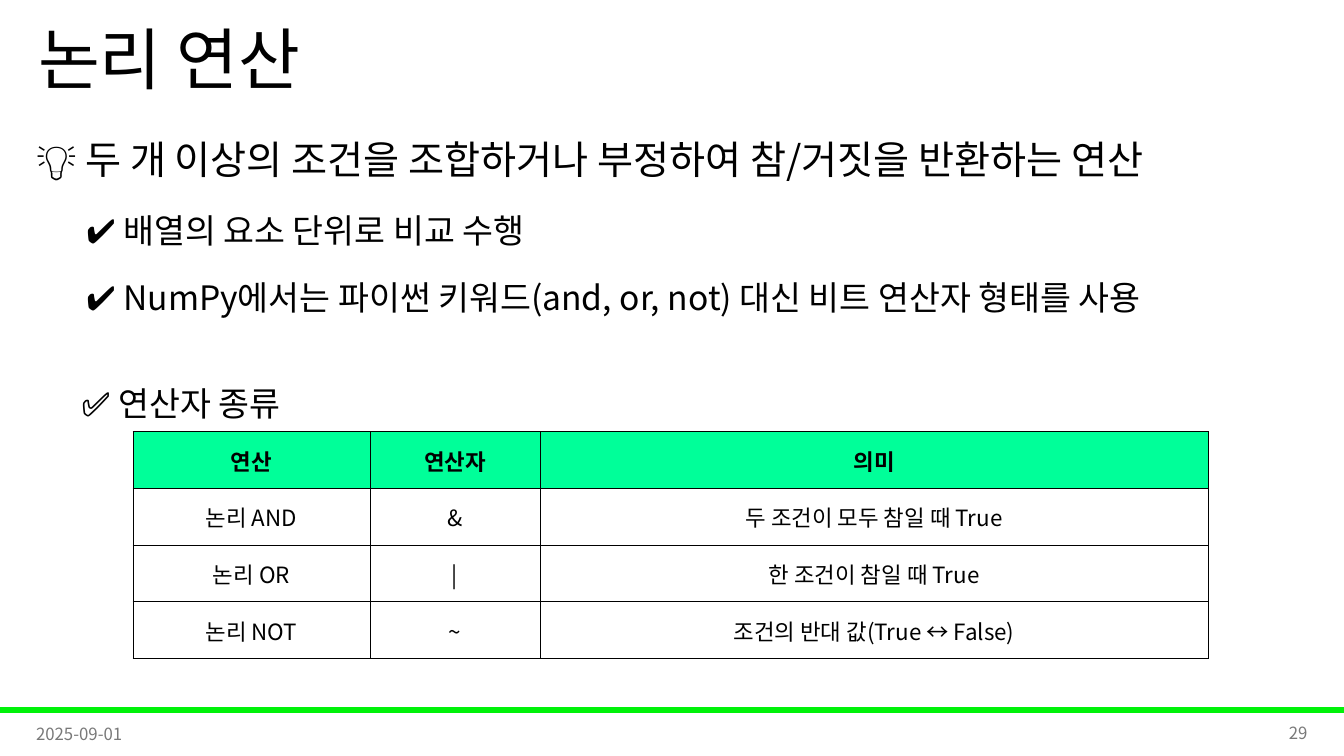
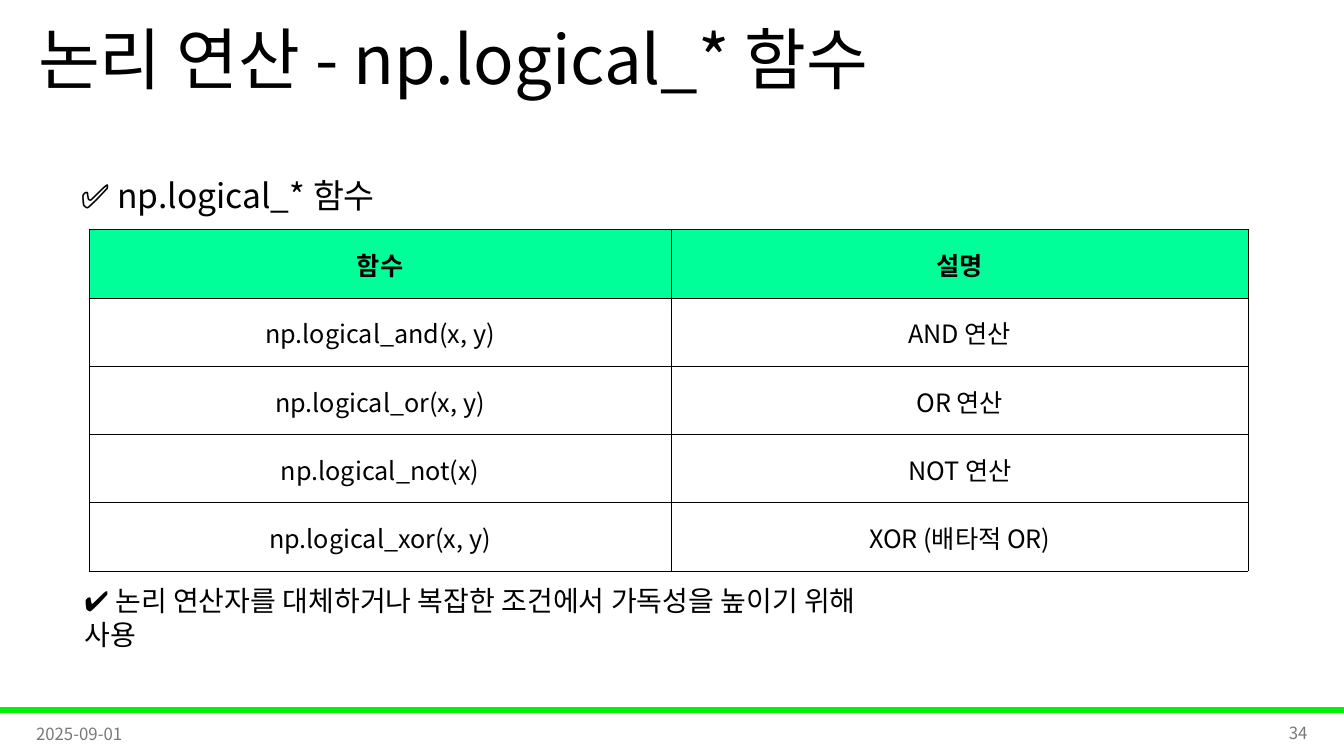
from lxml import etree
from pptx import Presentation
from pptx.dml.color import RGBColor
from pptx.enum.shapes import MSO_SHAPE
from pptx.enum.text import MSO_ANCHOR, PP_ALIGN
from pptx.oxml.ns import qn
from pptx.util import Cm, Pt

RECT = MSO_SHAPE.RECTANGLE
TOP, MIDDLE = MSO_ANCHOR.TOP, MSO_ANCHOR.MIDDLE
LEFT, CENTER, RIGHT = PP_ALIGN.LEFT, PP_ALIGN.CENTER, PP_ALIGN.RIGHT

BLACK = RGBColor(0x00, 0x00, 0x00)
GRAY = RGBColor(0x79, 0x79, 0x79)
GREEN = RGBColor(0x00, 0xF2, 0x09)
MINT = RGBColor(0x00, 0xFF, 0x99)
FONT = "Noto Sans CJK KR"
WIDE, HIGH = Cm(33.87), Cm(19.05)
DATE = "2025-09-01"

# Paragraph formats
TITLE = {"line_spacing": 0.9}
LEAD = {"line_spacing": 1.5, "space_before": Pt(10)}
POINT = {"line_spacing": 1.5, "space_before": Pt(5), "level": 1}
NOTE = {"space_before": Pt(10)}
CELL = {"alignment": CENTER}
INSETS = {"margin_left": Cm(0.03), "margin_right": Cm(0.03),
          "margin_top": Cm(0.03), "margin_bottom": 0,
          "vertical_anchor": MIDDLE}


def apply(item, form):
    for name, value in form.items():
        setattr(item, name, value)


class Deck:
    """Holds the shared style and the current slide."""

    def __init__(self):
        self.file = Presentation()
        apply(self.file, {"slide_width": WIDE, "slide_height": HIGH})
        self.slide = None

    def start(self, title, page):
        """Add a slide with its title, band and footer."""
        self.slide = self.file.slides.add_slide(self.file.slide_layouts[6])
        self.band()
        self.text(0.71, 0, 29.21, 3.18, [(title, 48, TITLE)], anchor=MIDDLE)
        for left, top, words, side in ((0.66, 17.98, DATE, LEFT),
                                       (25.58, 17.96, str(page), RIGHT)):
            self.text(left, top, 7.62, 1.02,
                      [(words, 12, {"alignment": side})], GRAY, MIDDLE)

    def band(self):
        bar = self.slide.shapes.add_shape(RECT, 0, Cm(17.83), WIDE, Cm(0.13))
        bar.shadow.inherit = False
        bar.fill.solid()
        bar.fill.fore_color.rgb = GREEN
        bar.line.color.rgb = GREEN
        bar.line.width = Pt(1)

    def line(self, para, words, size, form, color=BLACK, bold=False):
        """Fill one paragraph with styled text."""
        apply(para, form)
        if form.get("level"):
            props = para._p.get_or_add_pPr()
            props.set("marL", str(Cm(1.27)))
            props.set("indent", "0")
        run = para.add_run()
        run.text = words
        apply(run.font, {"name": FONT, "size": Pt(size), "bold": bold})
        run.font.color.rgb = color
        east = etree.SubElement(run._r.get_or_add_rPr(), qn("a:ea"))
        east.set("typeface", FONT)

    def text(self, left, top, width, height, lines, color=BLACK, anchor=TOP):
        box = self.slide.shapes.add_textbox(
            Cm(left), Cm(top), Cm(width), Cm(height))
        frame = box.text_frame
        apply(frame, {"word_wrap": True, "vertical_anchor": anchor})
        for i, (words, size, form) in enumerate(lines):
            para = frame.add_paragraph() if i else frame.paragraphs[0]
            self.line(para, words, size, form, color)

    def head(self, left, top, words):
        self.text(left, top, 14.88, 2.13, [(words, 24, LEAD)])

    def edge(self, cell):
        """Draw a thin black line on every side of a cell."""
        props = cell._tc.get_or_add_tcPr()
        for side in ("a:lnL", "a:lnR", "a:lnT", "a:lnB"):
            rule = etree.SubElement(props, qn(side), w=str(Pt(0.5)))
            fill = etree.SubElement(rule, qn("a:solidFill"))
            etree.SubElement(fill, qn("a:srgbClr"), val=str(BLACK))

    def table(self, left, top, widths, height, size, rows):
        grid = self.slide.shapes.add_table(
            len(rows), len(widths), Cm(left), Cm(top),
            Cm(sum(widths)), Cm(height * len(rows))).table
        grid.horz_banding = False
        for column, width in zip(grid.columns, widths):
            column.width = Cm(width)
        for r, row in enumerate(rows):
            grid.rows[r].height = Cm(height)
            for c, words in enumerate(row):
                cell = grid.cell(r, c)
                apply(cell, INSETS)
                self.edge(cell)
                if r == 0:
                    cell.fill.solid()
                    cell.fill.fore_color.rgb = MINT
                else:
                    cell.fill.background()
                self.line(cell.text_frame.paragraphs[0], words, size, CELL,
                          bold=r == 0)


def main():
    deck = Deck()

    # Logical operators
    deck.start("논리 연산", 29)
    deck.text(0.66, 2.69, 32.51, 7.59, [
        ("💡 두 개 이상의 조건을 조합하거나 부정하여 참/거짓을 반환하는 연산", 28, LEAD),
        ("✔️ 배열의 요소 단위로 비교 수행", 24, POINT),
        ("✔️ NumPy에서는 파이썬 키워드(and, or, not) 대신 비트 연산자 형태를 사용",
         24, POINT),
    ])
    deck.table(3.35, 10.87, (5.97, 4.29, 16.84), 1.43, 16, [
        ("연산", "연산자", "의미"),
        ("논리 AND", "&", "두 조건이 모두 참일 때 True"),
        ("논리 OR", "|", "한 조건이 참일 때 True"),
        ("논리 NOT", "~", "조건의 반대 값(True ↔ False)"),
    ])
    deck.head(1.8, 9.02, "✅ 연산자 종류")

    # Logical functions
    deck.start("논리 연산 - np.logical_* 함수", 34)
    deck.head(1.78, 3.78, "✅ np.logical_* 함수")
    deck.table(2.24, 5.79, (14.68, 14.53), 1.72, 18, [
        ("함수", "설명"),
        ("np.logical_and(x, y)", "AND 연산"),
        ("np.logical_or(x, y)", "OR 연산"),
        ("np.logical_not(x)", "NOT 연산"),
        ("np.logical_xor(x, y)", "XOR (배타적 OR)"),
    ])
    deck.text(1.88, 14.58, 21.08, 1.5, [
        ("✔️ 논리 연산자를 대체하거나 복잡한 조건에서 가독성을 높이기 위해 사용",
         20, NOTE),
    ])

    deck.file.save("out.pptx")


if __name__ == "__main__":
    main()
